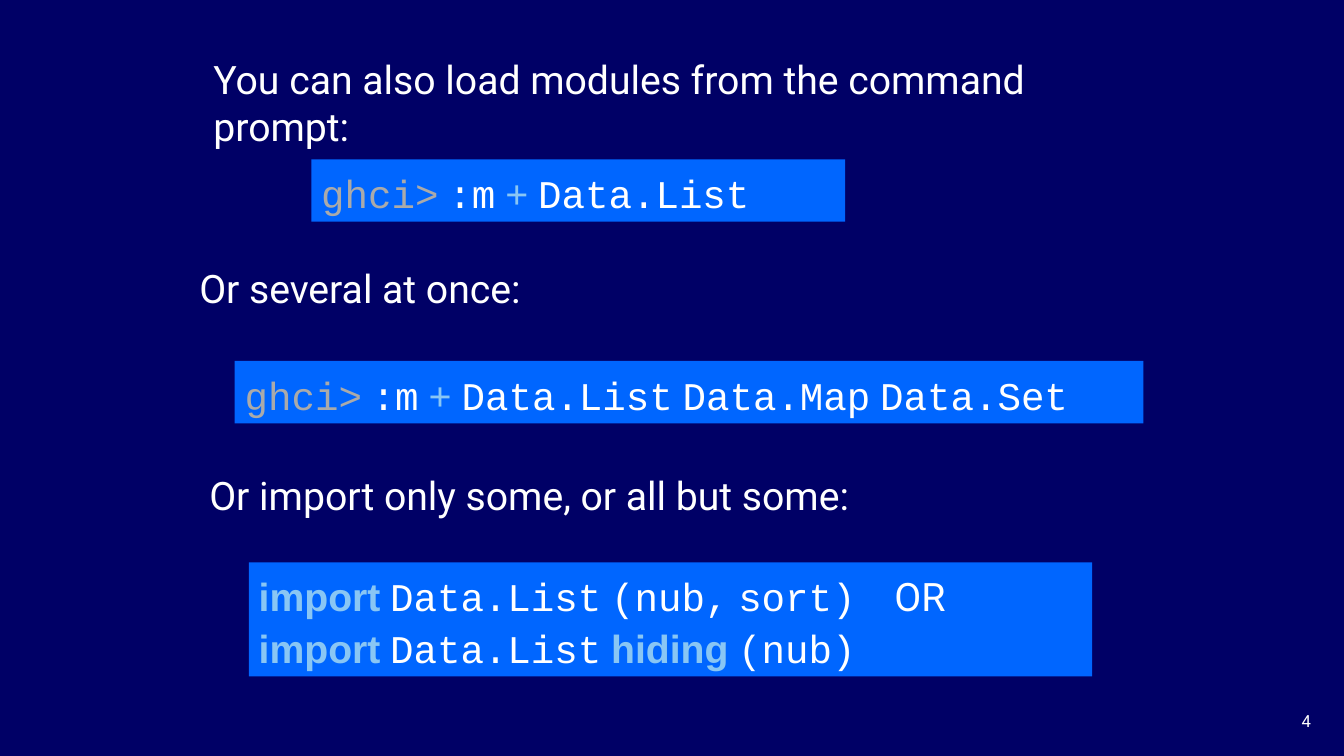
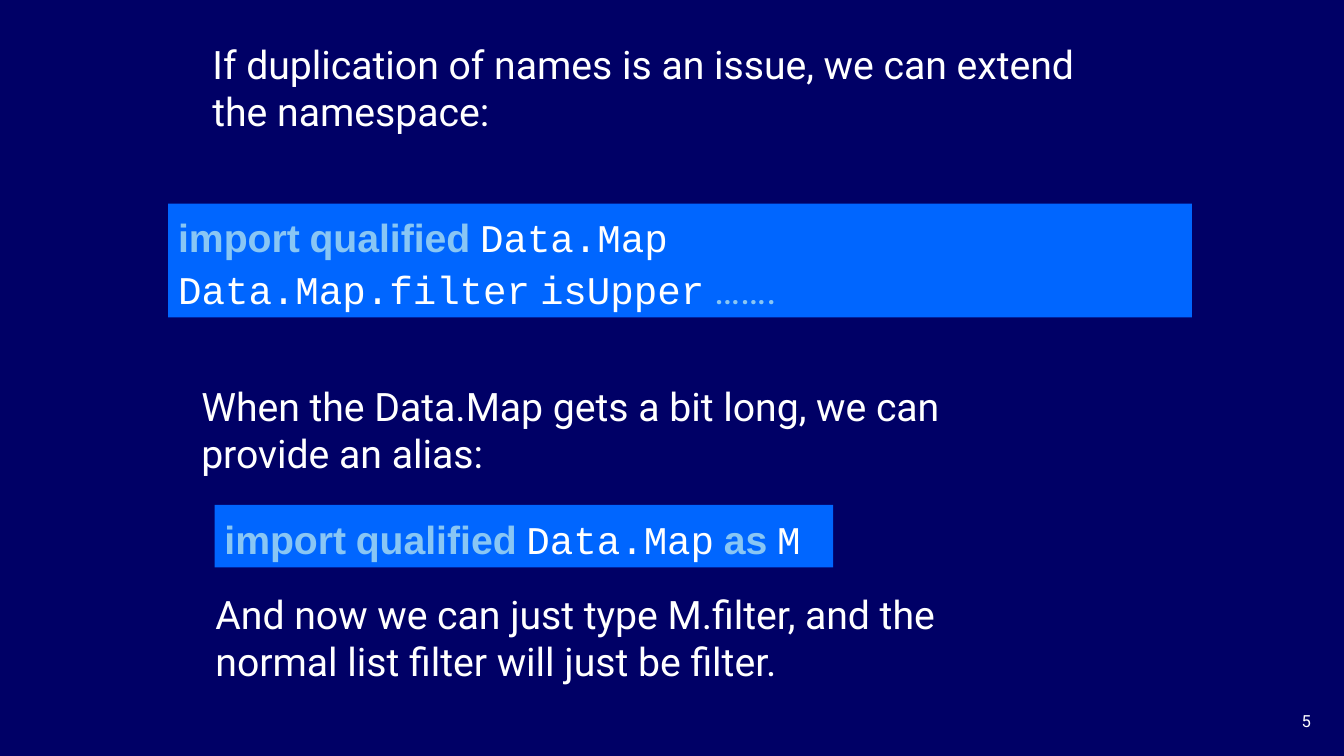
import itertools

import pptx
import pptx.dml.color
import pptx.enum.shapes
import pptx.enum.text
import pptx.oxml
import pptx.oxml.ns
import pptx.util

Inches = pptx.util.Inches
Pt = pptx.util.Pt

# Colours and fonts
NAVY = "000066"
BLUE = "0066FF"
WHITE = "FFFFFF"
GREY = "AAAAAA"
SKY = "89C6F4"
PROSE_FONT = "Roboto"
CODE_FONT = "Courier New"
KEYWORD_FONT = "Arial"
TEXT_SIZE = 28

# Run styles: font, colour, bold
PROSE = (PROSE_FONT, WHITE, False)
DOTS = (PROSE_FONT, SKY, False)
PROMPT = (CODE_FONT, GREY, False)
CODE = (CODE_FONT, WHITE, False)
OPERATOR = (CODE_FONT, SKY, False)
KEYWORD = (KEYWORD_FONT, SKY, True)


def colour(value):
    return pptx.dml.color.RGBColor.from_string(value)


class Deck:
    """Holds the shared style and the current slide."""

    def __init__(self):
        self.presentation = pptx.Presentation()
        self.presentation.slide_width = Inches(13.34)
        self.presentation.slide_height = Inches(7.5)
        background = self.presentation.slide_master.background.fill
        background.solid()
        background.fore_color.rgb = colour(NAVY)
        self.slide = None

    def add_slide(self, number):
        layout = self.presentation.slide_layouts[6]
        self.slide = self.presentation.slides.add_slide(layout)
        box = self.slide.shapes.add_textbox(
            Inches(12.22), Inches(7), Inches(0.89), Inches(0.33))
        box.text_frame.word_wrap = True
        paragraph = box.text_frame.paragraphs[0]
        paragraph.alignment = pptx.enum.text.PP_ALIGN.RIGHT
        self.add_run(paragraph, str(number), PROSE, 11.9)

    def add_run(self, paragraph, text, style, size=TEXT_SIZE):
        run = paragraph.add_run()
        run.text = text
        run.font.size = Pt(size)
        run.font.name, hex_value, run.font.bold = style
        run.font.color.rgb = colour(hex_value)

    def add_code_run(self, paragraph, text, style):
        """Set the words in their style and the gaps in the narrower prose font."""
        for is_gap, characters in itertools.groupby(text, str.isspace):
            self.add_run(paragraph, "".join(characters), PROSE if is_gap else style)

    def set_frame(self, shape):
        frame = shape.text_frame
        frame.word_wrap = True
        frame.auto_size = pptx.enum.text.MSO_AUTO_SIZE.SHAPE_TO_FIT_TEXT
        frame.vertical_anchor = pptx.enum.text.MSO_ANCHOR.MIDDLE
        return frame

    def add_prose(self, left, top, width, text, lines=1):
        box = self.slide.shapes.add_textbox(
            Inches(left), Inches(top), Inches(width), Inches(0.1 + 0.47 * lines))
        self.add_run(self.set_frame(box).paragraphs[0], text, PROSE)

    def add_code(self, left, top, width, lines, tab=None):
        """Draw a code panel; each line is a list of (text, style) runs."""
        height = 0.11 + 0.51 * len(lines)
        panel = self.slide.shapes.add_shape(
            pptx.enum.shapes.MSO_SHAPE.RECTANGLE,
            Inches(left), Inches(top), Inches(width), Inches(height))
        panel.shadow.inherit = False
        panel.fill.solid()
        panel.fill.fore_color.rgb = colour(BLUE)
        panel.line.fill.background()
        frame = self.set_frame(panel)
        for index, runs in enumerate(lines):
            paragraph = frame.add_paragraph() if index else frame.paragraphs[0]
            paragraph.alignment = pptx.enum.text.PP_ALIGN.LEFT
            paragraph.line_spacing = 1.1
            if tab:
                self.add_tab_stop(paragraph, tab)
            for text, style in runs:
                self.add_code_run(paragraph, text, style)

    def add_tab_stop(self, paragraph, position):
        properties = paragraph._p.get_or_add_pPr()
        properties.append(pptx.oxml.parse_xml(
            f'<a:tabLst {pptx.oxml.ns.nsdecls("a")}>'
            f'<a:tab pos="{Inches(position)}" algn="l"/></a:tabLst>'))


def add_loading_slide(deck):
    load = [("ghci> ", PROMPT), (":m ", CODE), ("+ ", OPERATOR)]
    deck.add_slide(4)
    deck.add_prose(2.02, 0.5, 9.31,
                   "You can also load modules from the command prompt:", lines=2)
    deck.add_code(3.09, 1.58, 5.3, [load + [("Data.List", CODE)]])
    deck.add_prose(1.88, 2.57, 4.64, "Or several at once:")
    deck.add_code(2.33, 3.58, 9.02,
                  [load + [("Data.List Data.Map Data.Set", CODE)]])
    deck.add_prose(1.98, 4.62, 8.76, "Or import only some, or all but some:")
    deck.add_code(2.47, 5.58, 8.37, [
        [("import ", KEYWORD), ("Data.List (nub, sort)", CODE), ("\tOR", PROSE)],
        [("import ", KEYWORD), ("Data.List ", CODE),
         ("hiding ", KEYWORD), ("(nub)", CODE)],
    ], tab=6.31)


def add_namespace_slide(deck):
    qualified = ("import qualified ", KEYWORD)
    deck.add_slide(5)
    deck.add_prose(
        2.01, 0.35, 9.31,
        "If duplication of names is an issue, we can extend the namespace:",
        lines=2)
    deck.add_code(1.67, 2.02, 10.16, [
        [qualified, ("Data.Map", CODE)],
        [("Data.Map.filter isUpper", CODE), (" …….", DOTS)],
    ])
    deck.add_prose(
        1.9, 3.74, 8.63,
        "When the Data.Map gets a bit long, we can provide an alias:", lines=2)
    deck.add_code(2.13, 5.01, 6.14, [
        [qualified, ("Data.Map ", CODE), ("as ", KEYWORD), ("M", CODE)],
    ])
    deck.add_prose(
        2.04, 5.8, 8.63,
        "And now we can just type M.filter, and the normal list filter "
        "will just be filter.", lines=2)


def main():
    deck = Deck()
    add_loading_slide(deck)
    add_namespace_slide(deck)
    deck.presentation.save("out.pptx")


if __name__ == "__main__":
    main()
